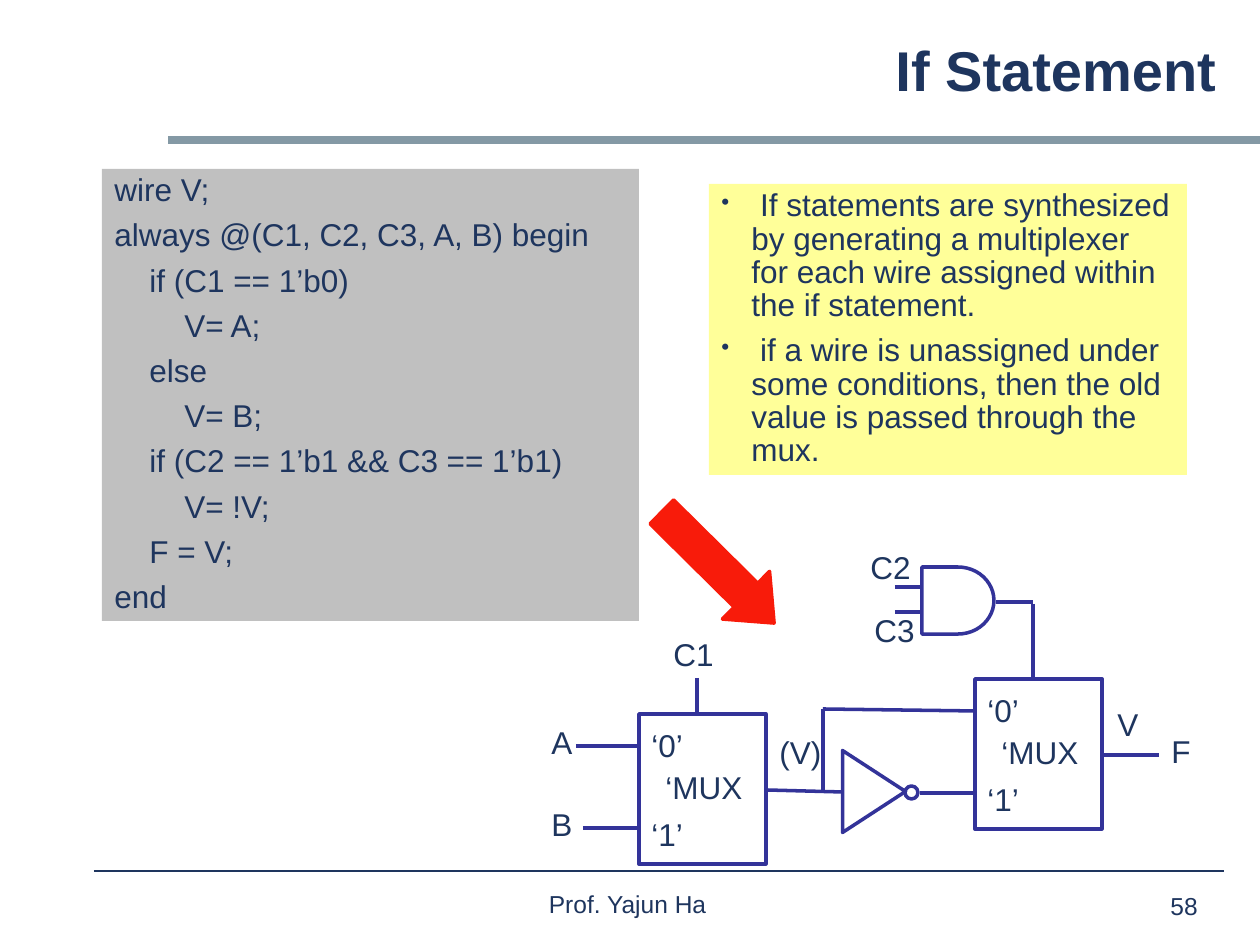
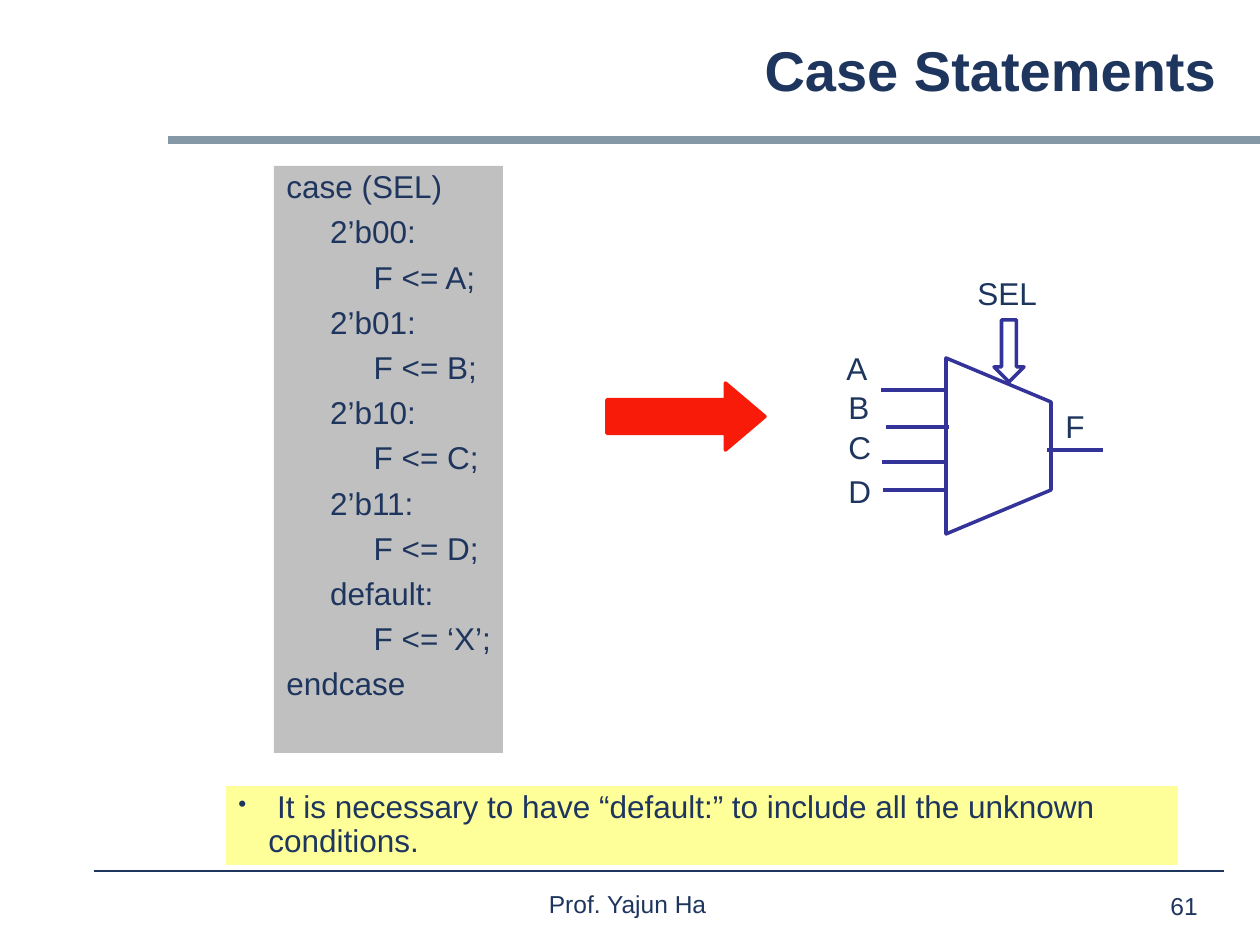
import pptx
import pptx.util
import pptx.dml.color
import pptx.enum.shapes
import pptx.enum.text
import lxml.etree

SHAPES = pptx.enum.shapes.MSO_SHAPE
ALIGN = pptx.enum.text.PP_ALIGN
ANCHOR = pptx.enum.text.MSO_ANCHOR
EMU_PER_PX = 914400 / 126

FONT = "Arial"
NAVY, BAND, WIRE = "1E355E", "8499A5", "333399"
GREY, YELLOW, RED = "C0C0C0", "FFFF99", "F81B0A"
BODY_SIZE, FOOTER_SIZE, TITLE_SIZE = 18, 14, 32
LINE_SPACING, SPACE_BEFORE = 0.88, 6.8
LABEL_HEIGHT, BULLET_INDENT = 47, 30
FOOTER = "Prof. Yajun Ha"

IF_SLIDE = {
    "title": "If Statement",
    "number": "58",
    "code_box": (102, 169, 537, 452),
    "code": [
        "wire V;",
        "always @(C1, C2, C3, A, B) begin",
        "    if (C1 == 1’b0)",
        "        V= A;",
        "    else",
        "        V= B;",
        "    if (C2 == 1’b1 && C3 == 1’b1)",
        "        V= !V;",
        "    F = V;",
        "end",
    ],
    "note_box": (709, 184, 478, 291),
    "notes": [
        " If statements are synthesized by generating a multiplexer for each wire assigned within the if statement.",
        " if a wire is unassigned under some conditions, then the old value is passed through the mux.",
    ],
    "arrow": (639, 534, 158, 67, 44.7),
    "wires": [
        (576, 746, 639, 746), (583, 828, 639, 828), (697, 678, 697, 713),
        (767, 790, 842, 792), (823, 709, 975, 711), (823, 709, 823, 793),
        (920, 793, 975, 793), (1103, 755, 1159, 755), (895, 587, 921, 587),
        (895, 612, 921, 612), (996, 602, 1033, 602), (1033, 604, 1033, 678),
    ],
    "labels": [
        ("C1", 661, 634, 65), ("A", 539, 722, 45), ("B", 539, 804, 45),
        ("(V)", 767, 732, 67), ("C2", 858, 547, 65), ("C3", 862, 610, 65),
        ("V", 1105, 704, 45), ("F", 1159, 731, 44),
    ],
}

CASE_SLIDE = {
    "title": "Case Statements",
    "number": "61",
    "code_box": (274, 166, 229, 587),
    "code": [
        "case (SEL)",
        "     2’b00:",
        "          F <= A;",
        "     2’b01:",
        "          F <= B;",
        "     2’b10:",
        "          F <= C;",
        "     2’b11:",
        "          F <= D;",
        "     default:",
        "          F <= ‘X’;",
        "endcase",
    ],
    "note_box": (226, 786, 952, 79),
    "notes": [" It is necessary to have “default:” to include all the unknown conditions."],
    "arrow": (607, 383, 158, 67, 0),
    "wires": [
        (881, 390, 944, 390), (886, 427, 949, 427), (882, 462, 945, 462),
        (883, 490, 946, 490), (1047, 450, 1103, 450),
    ],
    "labels": [
        ("A", 834, 348, 45), ("B", 836, 387, 45), ("C", 836, 427, 48),
        ("D", 836, 471, 47), ("F", 1053, 406, 44), ("SEL", 965, 273, 84),
    ],
}

MUX_SIZE = (127, 150)
MUX_CORNERS = [(639, 714), (975, 679)]
MUX_LABELS = [("‘0’", 0, 11, 57), ("‘MUX", 14, 53, 102), ("‘1’", 0, 100, 57)]
GATES = [
    (SHAPES.ISOSCELES_TRIANGLE, (833, 760, 82, 63), 90),
    (SHAPES.OVAL, (905, 786, 13, 13), 0),
    (SHAPES.FLOWCHART_DELAY, (922, 567, 72, 67), 0),
]
SELECTOR_OUTLINE = [(946, 534), (1051, 490), (1051, 402), (946, 358)]
SELECT_ARROW = (994, 320, 30, 62)


def px(value):
    return pptx.util.Emu(round(value * EMU_PER_PX))


def color(hex_text):
    return pptx.dml.color.RGBColor.from_string(hex_text)


def style_shape(shape, fill=None, line=None):
    shape.shadow.inherit = False
    if fill:
        shape.fill.solid()
        shape.fill.fore_color.rgb = color(fill)
    else:
        shape.fill.background()
    if line:
        shape.line.color.rgb = color(line)
        shape.line.width = pptx.util.Pt(2)
    else:
        shape.line.fill.background()


def add_shape(slide, kind, box, fill=None, line=None, rotation=0):
    shape = slide.shapes.add_shape(kind, *map(px, box))
    style_shape(shape, fill, line)
    shape.rotation = rotation
    return shape


def add_line(slide, ends, hex_text=WIRE, width=2):
    connector = slide.shapes.add_connector(
        pptx.enum.shapes.MSO_CONNECTOR.STRAIGHT, *map(px, ends))
    connector.line.color.rgb = color(hex_text)
    connector.line.width = pptx.util.Pt(width)
    lxml.etree.SubElement(connector._element.spPr, pptx.oxml.ns.qn("a:effectLst"))


def add_bullet(paragraph):
    properties = paragraph._p.get_or_add_pPr()
    properties.set("marL", str(px(BULLET_INDENT)))
    properties.set("indent", str(-px(BULLET_INDENT)))
    bullet_color = lxml.etree.SubElement(properties, pptx.oxml.ns.qn("a:buClr"))
    lxml.etree.SubElement(bullet_color, pptx.oxml.ns.qn("a:srgbClr"), val=NAVY)
    lxml.etree.SubElement(properties, pptx.oxml.ns.qn("a:buSzPct"), val="75000")
    lxml.etree.SubElement(properties, pptx.oxml.ns.qn("a:buChar"), char="•")


def write(shape, lines, size=BODY_SIZE, align=ALIGN.LEFT, anchor=ANCHOR.TOP,
          bold=False, bullets=False):
    frame = shape.text_frame
    frame.word_wrap = True
    frame.vertical_anchor = anchor
    for index, line in enumerate(lines):
        paragraph = frame.add_paragraph() if index else frame.paragraphs[0]
        paragraph.text = line
        if bullets:
            add_bullet(paragraph)
        paragraph.alignment = align
        paragraph.line_spacing = LINE_SPACING
        paragraph.space_before = pptx.util.Pt(SPACE_BEFORE if index else 0)
        paragraph.font.name = FONT
        paragraph.font.size = pptx.util.Pt(size)
        paragraph.font.bold = bold
        paragraph.font.color.rgb = color(NAVY)


def add_text(slide, text, box, **style):
    shape = slide.shapes.add_textbox(*map(px, box))
    shape.text_frame.margin_right = 0
    write(shape, [text], **style)


def add_label(slide, text, left, top, width):
    add_text(slide, text, (left, top, width, LABEL_HEIGHT))


def add_frame(slide, content):
    add_shape(slide, SHAPES.RECTANGLE, (168, 136, 1092, 8), BAND)
    add_line(slide, (94, 871, 1224, 871), NAVY, 0.75)
    title = slide.shapes.title
    title.left, title.top, title.width, title.height = map(px, (168, 21, 1061, 105))
    write(title, [content["title"]], TITLE_SIZE, ALIGN.RIGHT, ANCHOR.MIDDLE, bold=True)
    add_text(slide, FOOTER, (406, 887, 431, 53), size=FOOTER_SIZE, align=ALIGN.CENTER)
    add_text(slide, content["number"], (1158, 889, 82, 33), size=FOOTER_SIZE)


def add_slide(presentation, content):
    slide = presentation.slides.add_slide(presentation.slide_layouts[5])
    add_frame(slide, content)
    code = add_shape(slide, SHAPES.RECTANGLE, content["code_box"], GREY)
    code.text_frame.margin_right = 0
    write(code, content["code"])
    notes = add_shape(slide, SHAPES.RECTANGLE, content["note_box"], YELLOW)
    write(notes, content["notes"], bullets=True)
    *box, rotation = content["arrow"]
    arrow = add_shape(slide, SHAPES.RIGHT_ARROW, box, RED, RED, rotation)
    arrow.adjustments[1] = 0.59
    for ends in content["wires"]:
        add_line(slide, ends)
    for label in content["labels"]:
        add_label(slide, *label)
    return slide


def add_mux_circuit(slide):
    for left, top in MUX_CORNERS:
        add_shape(slide, SHAPES.RECTANGLE, (left, top, *MUX_SIZE), line=WIRE)
        for text, right, down, width in MUX_LABELS:
            add_label(slide, text, left + right, top + down, width)
    for kind, box, rotation in GATES:
        add_shape(slide, kind, box, line=WIRE, rotation=rotation)


def add_selector(slide):
    start, *others = SELECTOR_OUTLINE
    builder = slide.shapes.build_freeform(*start, scale=EMU_PER_PX)
    builder.add_line_segments(others, close=True)
    style_shape(builder.convert_to_shape(), line=WIRE)
    add_shape(slide, SHAPES.DOWN_ARROW, SELECT_ARROW, line=WIRE)


def main():
    presentation = pptx.Presentation()
    presentation.slide_width, presentation.slide_height = px(1260), px(945)
    add_mux_circuit(add_slide(presentation, IF_SLIDE))
    add_selector(add_slide(presentation, CASE_SLIDE))
    presentation.save("out.pptx")


if __name__ == "__main__":
    main()
